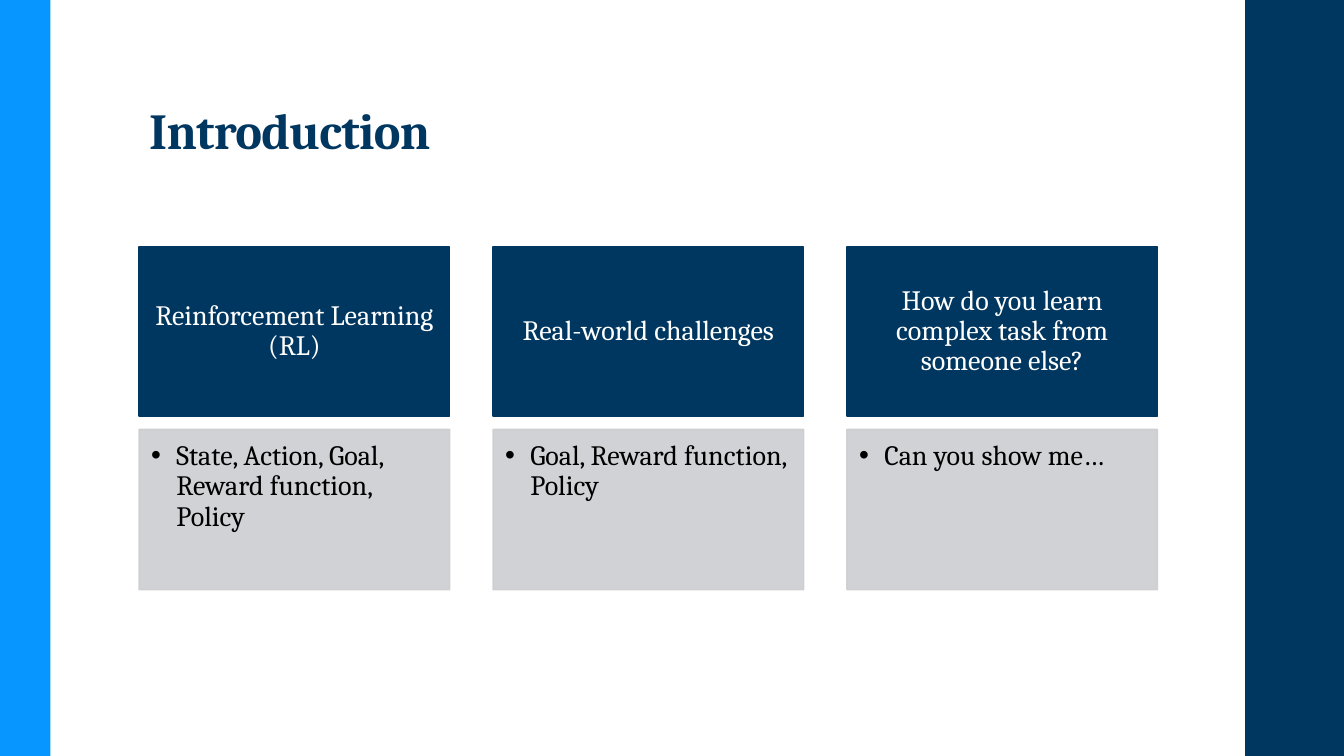
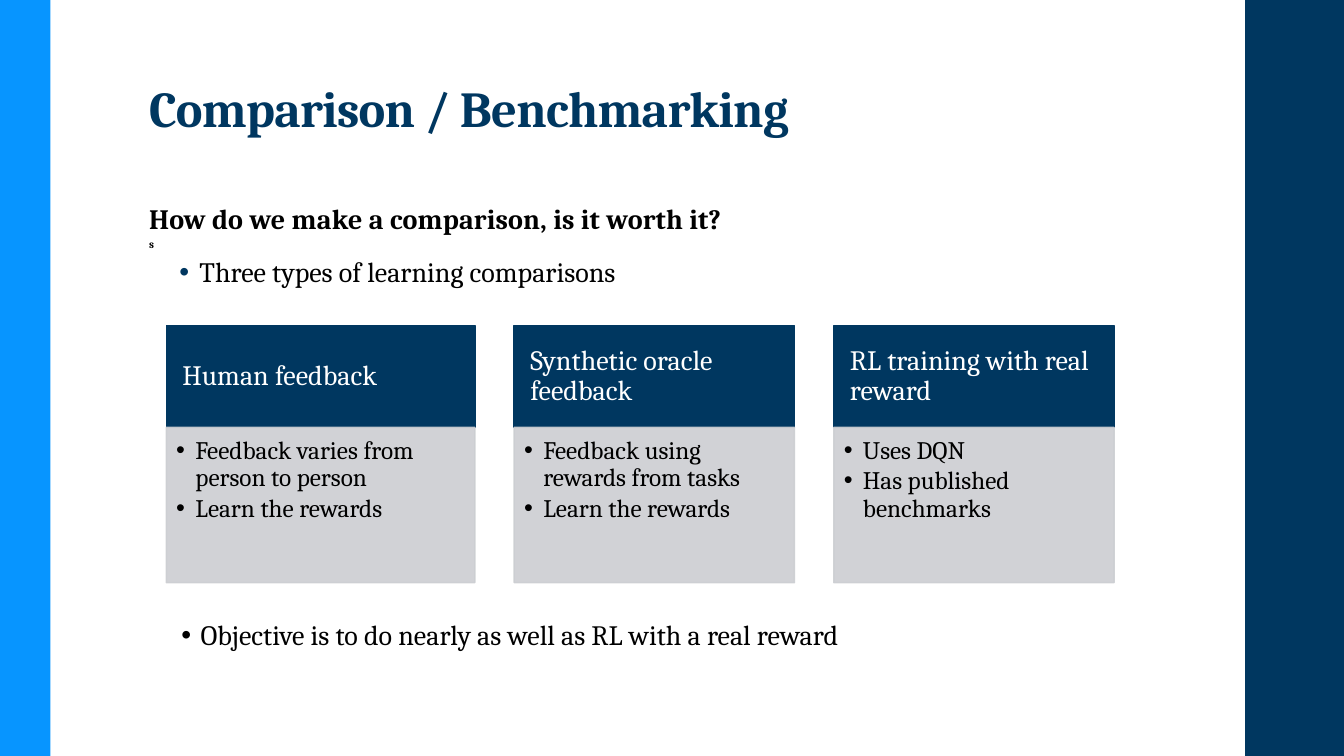
import dataclasses

import lxml.etree
import pptx
import pptx.dml.color
import pptx.enum.shapes
import pptx.enum.text
import pptx.oxml.ns
import pptx.util

Inches = pptx.util.Inches
Pt = pptx.util.Pt
ALIGN = pptx.enum.text.PP_ALIGN
ANCHOR = pptx.enum.text.MSO_ANCHOR
RECT = pptx.enum.shapes.MSO_SHAPE.RECTANGLE


@dataclasses.dataclass(frozen=True)
class Theme:
    font: str = "Cambria"
    navy: str = "003760"
    blue: str = "0795FF"
    gray: str = "CCCED2"
    white: str = "FFFFFF"
    black: str = "000000"
    title: float = 36
    body: float = 20
    small: float = 18
    tiny: float = 8


THEME = Theme()


def rgb(color):
    return pptx.dml.color.RGBColor.from_string(color)


def add_node(parent, tag, **attrs):
    node = lxml.etree.SubElement(parent, pptx.oxml.ns.qn(tag))
    for key, value in attrs.items():
        node.set(key, str(value))
    return node


def add_bullet(para, left, hang, color=None):
    props = para._p.get_or_add_pPr()
    props.set("marL", str(Inches(left)))
    props.set("indent", str(-Inches(hang)))
    if color:
        add_node(add_node(props, "a:buClr"), "a:srgbClr", val=color)
    add_node(props, "a:buFont", typeface="Arial")
    add_node(props, "a:buChar", char="•")


def write(frame, text, size=THEME.body, color=THEME.black, bold=False, align=ALIGN.LEFT,
          line=0.9, before=0, after=0, bullet=None, tint=None, track=0):
    para = frame.paragraphs[0]
    if para.runs:
        para = frame.add_paragraph()
    if bullet:
        add_bullet(para, *bullet, color=tint)
    para.alignment = align
    para.line_spacing = line
    para.space_before = Pt(before)
    para.space_after = Pt(after)
    run = para.add_run()
    run.text = text
    font = run.font
    font.name = THEME.font
    font.size = Pt(size)
    font.bold = bold
    font.color.rgb = rgb(color)
    if track:
        run._r.get_or_add_rPr().set("spc", str(round(track * 100)))


class Deck:
    def __init__(self, theme):
        self.theme = theme
        self.file = pptx.Presentation()
        self.file.slide_width = Inches(13.33)
        self.file.slide_height = Inches(7.5)
        self.slide = None

    def start(self, title, top, height):
        self.slide = self.file.slides.add_slide(self.file.slide_layouts[5])
        self.rect(12.35, 0, 0.98, 7.5, self.theme.navy)
        self.rect(0, 0, 0.5, 7.5, self.theme.blue)
        shape = self.slide.shapes.title
        shape.left, shape.top = Inches(1.38), Inches(top)
        shape.width, shape.height = Inches(10.6), Inches(height)
        frame = self.frame(shape, (0.1, 0.03, 0.1, 0.05), ANCHOR.BOTTOM)
        write(frame, title, size=self.theme.title, color=self.theme.navy, bold=True, track=-0.5)

    def frame(self, shape, inset, anchor=ANCHOR.TOP):
        frame = shape.text_frame
        frame.word_wrap = True
        frame.auto_size = pptx.enum.text.MSO_AUTO_SIZE.NONE
        frame.vertical_anchor = anchor
        sides = [Inches(side) for side in inset]
        frame.margin_left, frame.margin_top, frame.margin_right, frame.margin_bottom = sides
        return frame

    def rect(self, left, top, width, height, color, border=0, alpha=100):
        shape = self.slide.shapes.add_shape(
            RECT, Inches(left), Inches(top), Inches(width), Inches(height))
        shape.shadow.inherit = False
        shape.fill.solid()
        shape.fill.fore_color.rgb = rgb(color)
        if border:
            shape.line.color.rgb = rgb(color)
            shape.line.width = Pt(border)
        else:
            shape.line.fill.background()
        if alpha < 100:
            for node in shape._element.spPr.iter(pptx.oxml.ns.qn("a:srgbClr")):
                add_node(node, "a:alpha", val=alpha * 1000)
        return shape

    def text(self, left, top, width, height):
        shape = self.slide.shapes.add_textbox(
            Inches(left), Inches(top), Inches(width), Inches(height))
        return self.frame(shape, (0.1, 0.05, 0.1, 0.05))

    def cards(self, items, left, widths, gap, head, body, align, size, inset, hang):
        for (label, points), width in zip(items, widths):
            box = self.rect(left, head[0], width, head[1], self.theme.navy, border=1.1)
            frame = self.frame(box, (0.16, 0.09, 0.16, 0.09), ANCHOR.MIDDLE)
            write(frame, label, color=self.theme.white, align=align)
            box = self.rect(left, body[0], width, body[1], self.theme.gray, border=1.1, alpha=90)
            frame = self.frame(box, inset)
            for point in points:
                write(frame, point, size=size, after=2.5, bullet=(hang, hang))
            left += width + gap


def intro(deck):
    deck.start("Introduction", 0.88, 0.76)
    items = [
        ("Reinforcement Learning (RL)", ["State, Action, Goal, Reward function, Policy"]),
        ("Real-world challenges", ["Goal, Reward function, Policy"]),
        ("How do you learn complex task from someone else?", ["Can you show me…"]),
    ]
    deck.cards(items, left=1.38, widths=[3.08] * 3, gap=0.43, head=(2.45, 1.68),
               body=(4.26, 1.59), align=ALIGN.CENTER, size=THEME.body,
               inset=(0.12, 0.12, 0.16, 0.17), hang=0.25)


def compare(deck):
    deck.start("Comparison / Benchmarking", 0.73, 0.69)
    frame = deck.text(1.38, 1.97, 9.4, 1.02)
    write(frame, "How do we make a comparison, is it worth it?",
          bold=True, line=0.95, after=2, track=0.1)
    write(frame, "s", size=THEME.tiny, bold=True, line=0.95, after=2, track=0.1)
    write(frame, "Three types of learning comparisons",
          before=3, after=3, bullet=(0.5, 0.2), tint=THEME.navy)
    items = [
        ("Human feedback", ["Feedback varies from person to person", "Learn the rewards"]),
        ("Synthetic oracle feedback", ["Feedback using rewards from tasks", "Learn the rewards"]),
        ("RL training with real reward", ["Uses DQN", "Has published benchmarks"]),
    ]
    deck.cards(items, left=1.65, widths=[3.06, 2.78, 2.78], gap=0.39, head=(3.23, 1.01),
               body=(4.24, 1.54), align=ALIGN.LEFT, size=THEME.small,
               inset=(0.1, 0.1, 0.14, 0.16), hang=0.19)
    frame = deck.text(1.2, 6.08, 10.05, 0.44)
    write(frame, "Objective is to do nearly as well as RL with a real reward",
          line=1.0, bullet=(0.69, 0.19))


def main():
    deck = Deck(THEME)
    intro(deck)
    compare(deck)
    deck.file.save("out.pptx")


if __name__ == "__main__":
    main()
